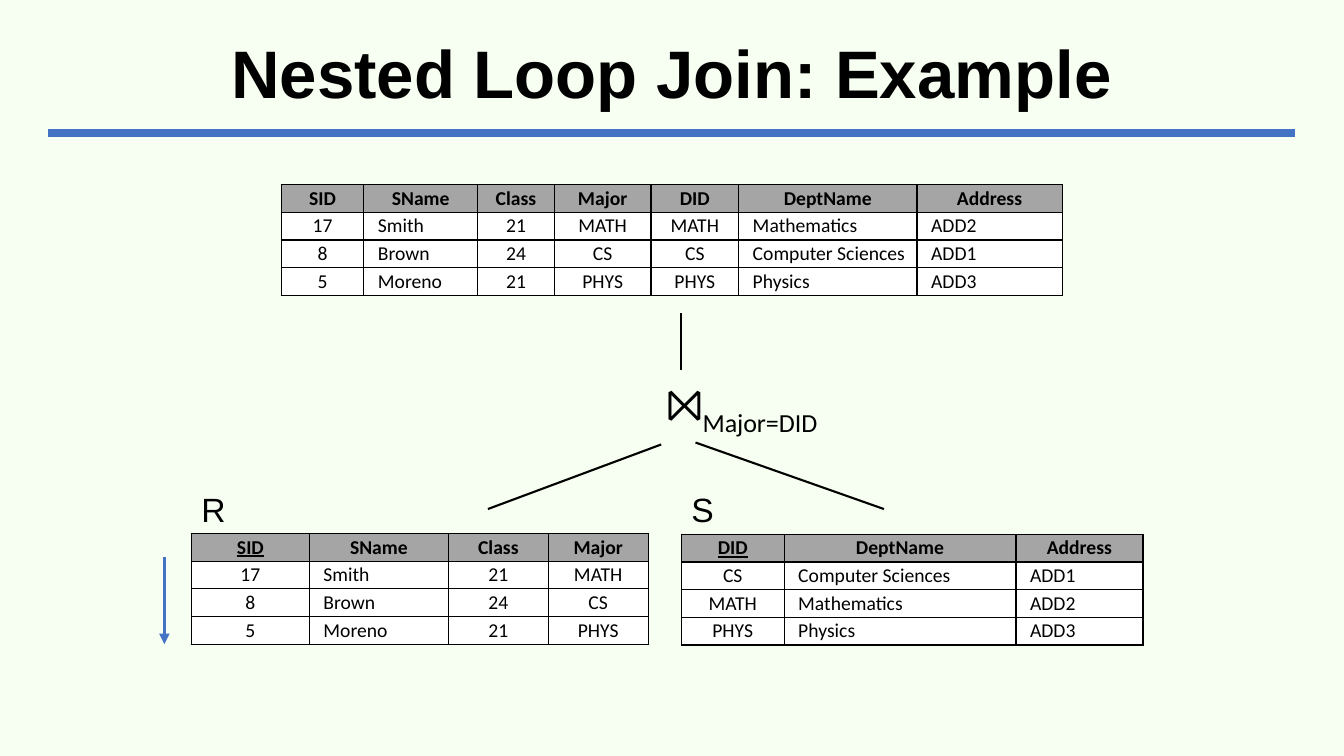
from lxml import etree
from pptx import Presentation
from pptx.dml.color import RGBColor
from pptx.enum.shapes import MSO_CONNECTOR
from pptx.enum.text import MSO_ANCHOR, PP_ALIGN
from pptx.oxml.ns import qn
from pptx.util import Pt

STRAIGHT = MSO_CONNECTOR.STRAIGHT
MIDDLE = MSO_ANCHOR.MIDDLE
LEFT, CENTER = PP_ALIGN.LEFT, PP_ALIGN.CENTER

STUDENT_HEADS = ["SID", "SName", "Class", "Major"]
STUDENTS = [
    ["17", "Smith", "21", "MATH"],
    ["8", "Brown", "24", "CS"],
    ["5", "Moreno", "21", "PHYS"],
]
DEPARTMENT_HEADS = ["DID", "DeptName", "Address"]
DEPARTMENTS = [
    ["CS", "Computer Sciences", "ADD1"],
    ["MATH", "Mathematics", "ADD2"],
    ["PHYS", "Physics", "ADD3"],
]


def color(value):
    return RGBColor.from_string(value)


def write(para, text, font="Calibri", size=14, ink="000000", bold=False,
          underline=False, align=LEFT, baseline=None):
    span = para.add_run()
    span.text = text
    span.font.name = font
    span.font.size = Pt(size)
    span.font.bold = bold
    span.font.underline = underline
    span.font.color.rgb = color(ink)
    para.alignment = align
    if baseline:
        span.font._element.set("baseline", str(baseline * 1000))


class Slide:
    """Holds the style and the current slide, and draws each kind of element."""

    black, white, gray, blue = "000000", "FFFFFF", "A5A5A5", "4472C4"
    row_height = 19.8
    cell_margin = 1.44
    cell_indent = 8.64
    left_columns = {"SName", "DeptName", "Address"}

    def __init__(self, deck, background):
        self.page = deck.slides.add_slide(deck.slide_layouts[6])
        fill = self.page.background.fill
        fill.solid()
        fill.fore_color.rgb = color(background)

    def text(self, left, top, width, height, spans, wrap=False, margin=7.2,
             line_spacing=None, **style):
        box = self.page.shapes.add_textbox(Pt(left), Pt(top), Pt(width), Pt(height))
        frame = box.text_frame
        frame.word_wrap = wrap
        frame.vertical_anchor = MIDDLE
        frame.margin_left = frame.margin_right = Pt(margin)
        para = frame.paragraphs[0]
        para.line_spacing = line_spacing
        for text, extra in spans:
            write(para, text, **style, **extra)

    def line(self, start, end, ink=black, weight=1.5, arrow=False):
        line = self.page.shapes.add_connector(STRAIGHT, *map(Pt, start + end))
        line.line.color.rgb = color(ink)
        line.line.width = Pt(weight)
        if arrow:
            etree.SubElement(line.line._get_or_add_ln(), qn("a:tailEnd"), type="triangle")
        etree.SubElement(line._element.spPr, qn("a:effectLst"))

    def border(self, cell):
        properties = cell._tc.get_or_add_tcPr()
        for side in ("lnL", "lnR", "lnT", "lnB"):
            edge = etree.SubElement(properties, qn(f"a:{side}"), w=str(Pt(1)))
            fill = etree.SubElement(edge, qn("a:solidFill"))
            etree.SubElement(fill, qn("a:srgbClr"), val=self.black)

    def cell(self, cell, text, header, indented, underline):
        self.border(cell)
        cell.fill.solid()
        cell.fill.fore_color.rgb = color(self.gray if header else self.white)
        cell.margin_left = cell.margin_right = Pt(self.cell_margin)
        cell.margin_top = cell.margin_bottom = Pt(self.cell_margin)
        para = cell.text_frame.paragraphs[0]
        write(para, text, bold=header, underline=underline,
              align=LEFT if indented else CENTER)
        if indented:
            para._p.get_or_add_pPr().set("marL", str(Pt(self.cell_indent)))

    def table(self, left, top, widths, heads, records, key=None):
        rows = [heads] + records
        height = self.row_height * len(rows)
        table = self.page.shapes.add_table(
            len(rows), len(heads), Pt(left), Pt(top), Pt(sum(widths)), Pt(height)).table
        for column, width in zip(table.columns, widths):
            column.width = Pt(width)
        for index, values in enumerate(rows):
            header = index == 0
            table.rows[index].height = Pt(self.row_height)
            for position, (head, value) in enumerate(zip(heads, values)):
                self.cell(table.cell(index, position), value, header,
                          not header and head in self.left_columns,
                          header and head == key)


def main():
    deck = Presentation()
    deck.slide_width, deck.slide_height = Pt(960), Pt(540)
    slide = Slide(deck, "F7FFF3")

    slide.line((34.6, 95), (925.2, 95), ink=slide.blue, weight=6)
    slide.text(34.6, 17.3, 890.6, 74.9, [("Nested Loop Join: Example", {})], wrap=True,
               line_spacing=0.9, font="Arial", size=48, bold=True, align=CENTER)

    by_name = {record[0]: record for record in DEPARTMENTS}
    joined = [student + by_name[student[-1]] for student in STUDENTS]
    slide.table(136.8, 381, [84.2, 99.4, 71.3, 71.3], STUDENT_HEADS, STUDENTS, key="SID")
    slide.table(486.7, 381.6, [73.4, 165.6, 90.7], DEPARTMENT_HEADS, DEPARTMENTS, key="DID")
    slide.table(200.9, 131.8, [59, 81.4, 54.7, 69.1, 62.6, 127.4, 103.7],
                STUDENT_HEADS + DEPARTMENT_HEADS, joined)

    slide.text(476, 264.2, 110, 52.6, [("⨝", {}), ("Major=DID", {"baseline": -25})],
               margin=0, size=32)
    slide.line((486.7, 223.9), (486.7, 264.2))
    slide.line((472.3, 317.5), (348.5, 363.6))
    slide.line((496.8, 316.1), (631.4, 363.6))
    slide.line((117.4, 398.2), (117.4, 460.1), ink=slide.blue, weight=2.5, arrow=True)

    for name, left in (("R", 136.8), ("S", 486.7)):
        slide.text(left, 345.6, 28, 36, [(name, {})], font="Arial", size=24)

    deck.save("out.pptx")


if __name__ == "__main__":
    main()
